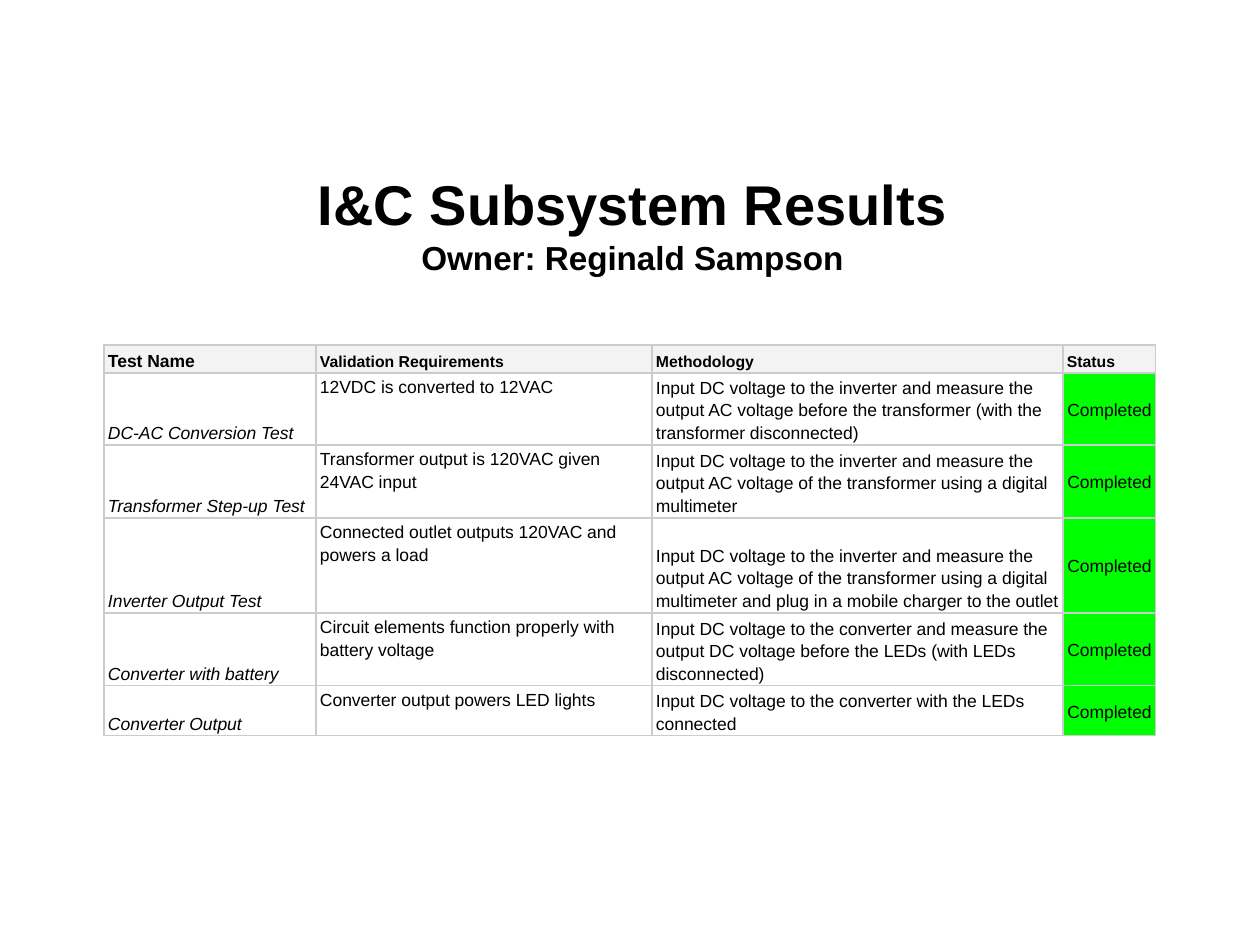
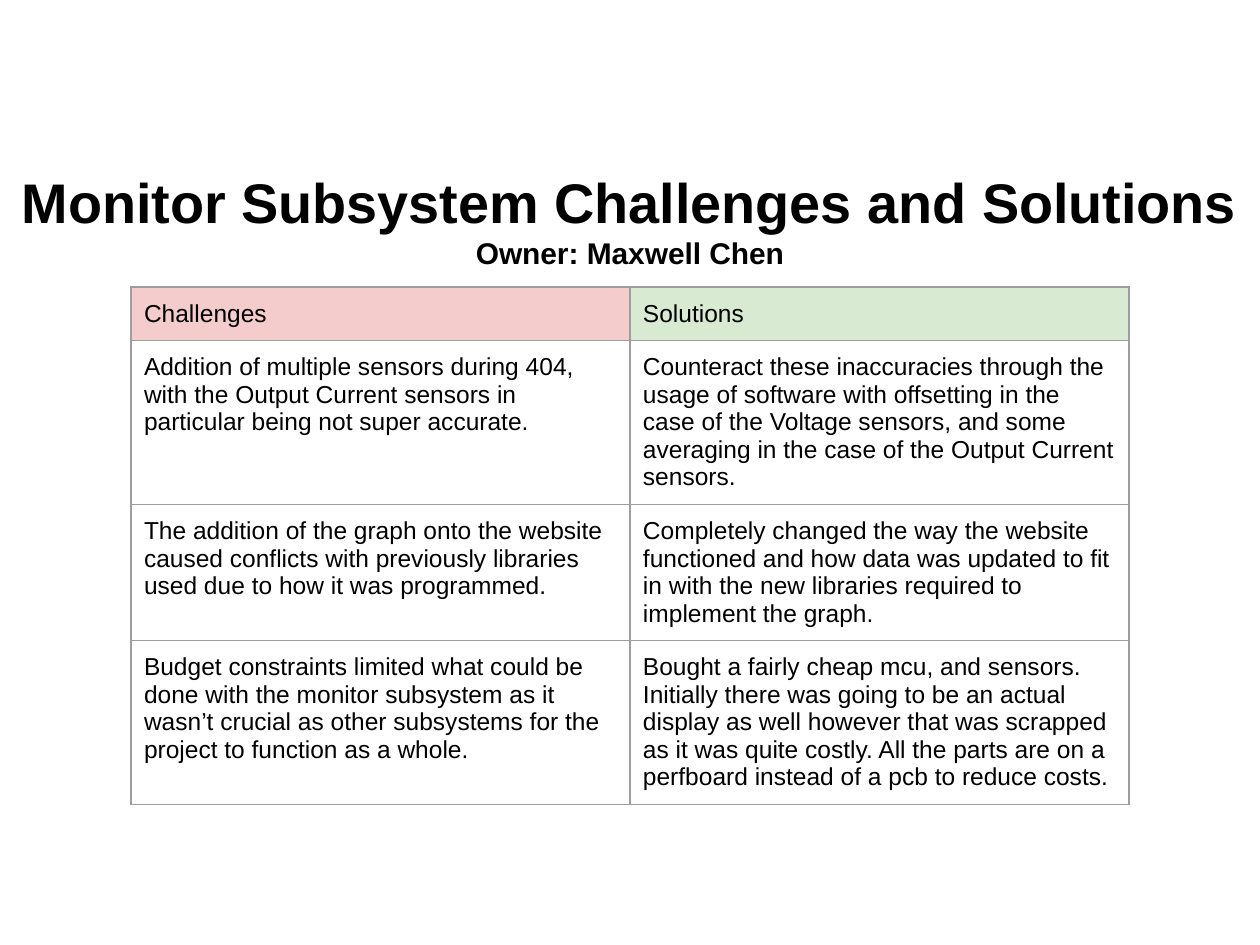
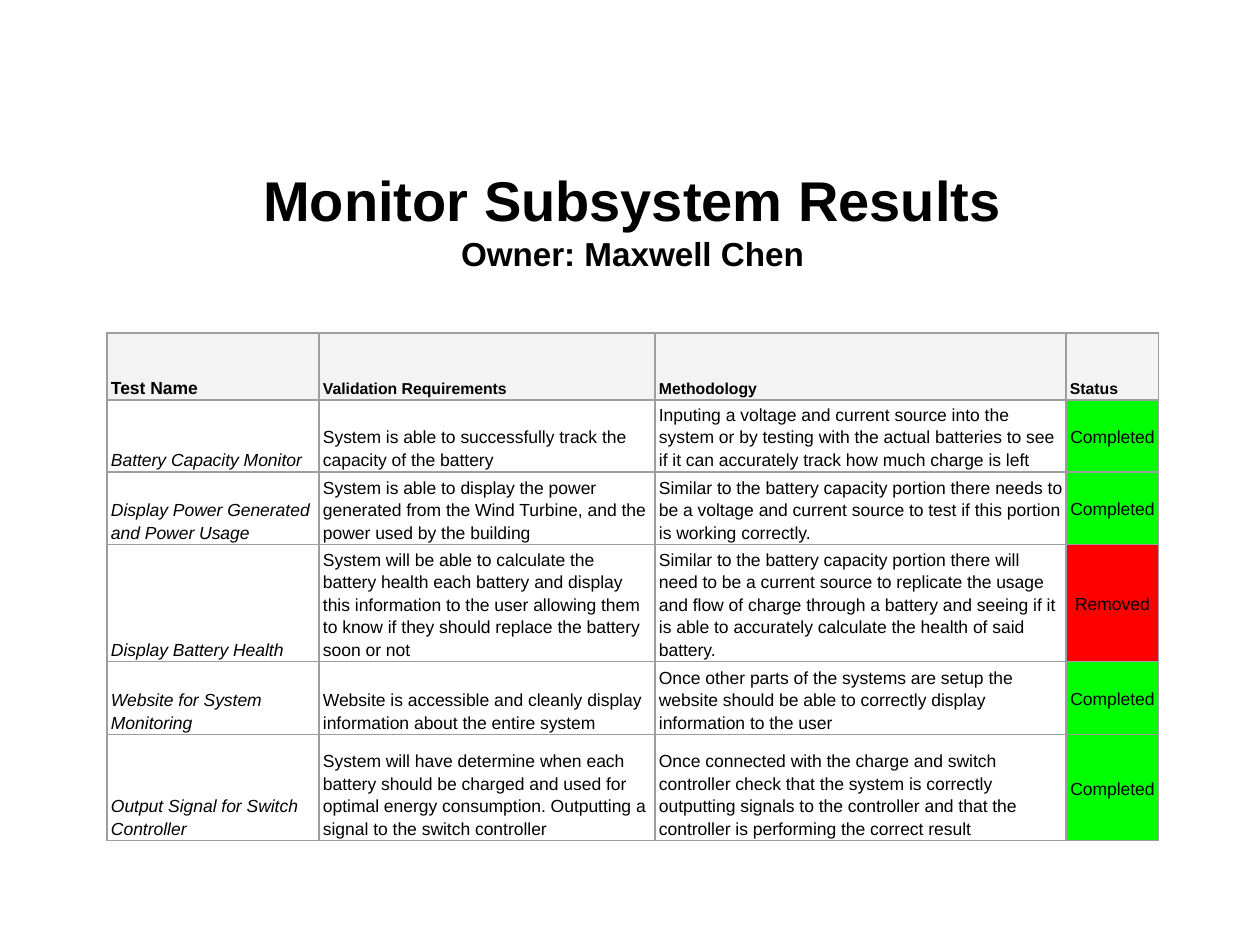
"""Build three slides of subsystem test results, challenges and solutions."""
import dataclasses

import lxml.etree
import pptx
import pptx.dml.color
import pptx.enum.text
import pptx.oxml.ns
import pptx.util

PIXELS_PER_INCH = 126
ANCHOR = pptx.enum.text.MSO_ANCHOR
ALIGN = pptx.enum.text.PP_ALIGN


@dataclasses.dataclass(frozen=True)
class Theme:
    font: str = "Arial"
    text: str = "000000"
    plain: str = "FFFFFF"
    header: str = "F3F3F3"
    challenge: str = "F4CCCC"
    solution: str = "D9EAD3"
    completed: str = "00FF00"
    removed: str = "FF0000"
    light_border: str = "CCCCCC"
    dark_border: str = "9E9E9E"
    border_width: float = 0.75
    title_size: float = 32
    owner_size: float = 19
    long_title_size: float = 31.9
    small_owner_size: float = 17.1
    comparison_size: float = 14
    result_size: float = 10
    header_size: float = 9


def px(length):
    return pptx.util.Emu(round(length * 914400 / PIXELS_PER_INCH))


def format_text(paragraph, size, paragraph_format=(), **font_format):
    for name, value in dict(paragraph_format).items():
        setattr(paragraph, name, value)
    values = {"name": theme.font, "size": pptx.util.Pt(size), **font_format}
    for name, value in values.items():
        setattr(paragraph.font, name, value)
    paragraph.font.color.rgb = pptx.dml.color.RGBColor.from_string(theme.text)


theme = Theme()
status_fills = {"Completed": theme.completed, "Removed": theme.removed}
result_columns = [212, 336, 411, 93]
result_header = ["Test Name", "Validation Requirements", "Methodology", "Status"]

slide_contents = [
    {
        "title": "I&C Subsystem Results",
        "owner": "Owner: Reginald Sampson",
        "title_box": (48, 149, 1169, 149),
        "title_sizes": (theme.title_size, theme.owner_size),
        "is_results": True,
        "requirement_anchor": ANCHOR.TOP,
        "border": theme.light_border,
        "table_corner": (104, 345),
        "columns": result_columns,
        "row_heights": [28, 72, 73, 95, 73, 50],
        "header_fills": [theme.header] * 4,
        "rows": [
            result_header,
            ["DC-AC Conversion Test", "12VDC is converted to 12VAC",
             "Input DC voltage to the inverter and measure the output AC voltage before "
             "the transformer (with the transformer disconnected)", "Completed"],
            ["Transformer Step-up Test", "Transformer output is 120VAC given 24VAC input",
             "Input DC voltage to the inverter and measure the output AC voltage of the "
             "transformer using a digital multimeter", "Completed"],
            ["Inverter Output Test", "Connected outlet outputs 120VAC and powers a load",
             "Input DC voltage to the inverter and measure the output AC voltage of the "
             "transformer using a digital multimeter and plug in a mobile charger to the "
             "outlet", "Completed"],
            ["Converter with battery",
             "Circuit elements function properly with battery voltage",
             "Input DC voltage to the converter and measure the output DC voltage before "
             "the LEDs (with LEDs disconnected)", "Completed"],
            ["Converter Output", "Converter output powers LED lights",
             "Input DC voltage to the converter with the LEDs connected", "Completed"],
        ],
    },
    {
        "title": "Monitor Subsystem Challenges and Solutions",
        "owner": "Owner: Maxwell Chen",
        "title_box": (0, 145, 1260, 149),
        "title_sizes": (theme.long_title_size, theme.small_owner_size),
        "is_results": False,
        "border": theme.dark_border,
        "table_corner": (131, 287),
        "columns": [499, 499],
        "row_heights": [53, 163, 135, 163],
        "header_fills": [theme.challenge, theme.solution],
        "rows": [
            ["Challenges", "Solutions"],
            ["Addition of multiple sensors during 404, with the Output Current sensors in "
             "particular being not super accurate.",
             "Counteract these inaccuracies through the usage of software with offsetting "
             "in the case of the Voltage sensors, and some averaging in the case of the "
             "Output Current sensors."],
            ["The addition of the graph onto the website caused conflicts with previously "
             "libraries used due to how it was programmed.",
             "Completely changed the way the website functioned and how data was updated "
             "to fit in with the new libraries required to implement the graph."],
            ["Budget constraints limited what could be done with the monitor subsystem as "
             "it wasn’t crucial as other subsystems for the project to function as a whole.",
             "Bought a fairly cheap mcu, and sensors. Initially there was going to be an "
             "actual display as well however that was scrapped as it was quite costly. All "
             "the parts are on a perfboard instead of a pcb to reduce costs."],
        ],
    },
    {
        "title": "Monitor Subsystem Results",
        "owner": "Owner: Maxwell Chen",
        "title_box": (48, 145, 1169, 149),
        "title_sizes": (theme.title_size, theme.owner_size),
        "is_results": True,
        "requirement_anchor": ANCHOR.BOTTOM,
        "border": theme.dark_border,
        "table_corner": (107, 333),
        "columns": result_columns,
        "row_heights": [67, 72, 73, 117, 73, 106],
        "header_fills": [theme.header] * 4,
        "rows": [
            result_header,
            ["Battery Capacity Monitor",
             "System is able to successfully track the capacity of the battery",
             "Inputing a voltage and current source into the system or by testing with the "
             "actual batteries to see if it can accurately track how much charge is left",
             "Completed"],
            ["Display Power Generated and Power Usage",
             "System is able to display the power generated from the Wind Turbine, and the "
             "power used by the building",
             "Similar to the battery capacity portion there needs to be a voltage and "
             "current source to test if this portion is working correctly.", "Completed"],
            ["Display Battery Health",
             "System will be able to calculate the battery health each battery and display "
             "this information to the user allowing them to know if they should replace "
             "the battery soon or not",
             "Similar to the battery capacity portion there will need to be a current "
             "source to replicate the usage and flow of charge through a battery and "
             "seeing if it is able to accurately calculate the health of said battery.",
             "Removed"],
            ["Website for System Monitoring",
             "Website is accessible and cleanly display\n"
             "information about the entire system",
             "Once other parts of the systems are setup the website should be able to "
             "correctly display information to the user", "Completed"],
            ["Output Signal for Switch Controller",
             "System will have determine when each battery should be charged and used for "
             "optimal energy consumption. Outputting a signal to the switch controller",
             "Once connected with the charge and switch controller check that the system "
             "is correctly outputting signals to the controller and that the controller "
             "is performing the correct result", "Completed"],
        ],
    },
]

presentation = pptx.Presentation()
presentation.slide_width = px(1260)
presentation.slide_height = px(945)
title_only_layout = presentation.slide_layouts[5]

for content in slide_contents:
    slide = presentation.slides.add_slide(title_only_layout)

    title = slide.shapes.title
    for name, length in zip(("left", "top", "width", "height"), content["title_box"]):
        setattr(title, name, px(length))
    title.text_frame.text = f"{content['title']}\n{content['owner']}"
    title.text_frame.auto_size = pptx.enum.text.MSO_AUTO_SIZE.NONE
    title.text_frame.vertical_anchor = ANCHOR.MIDDLE
    for paragraph, size in zip(title.text_frame.paragraphs, content["title_sizes"]):
        format_text(paragraph, size, {"alignment": ALIGN.CENTER}, bold=True)

    rows, columns, heights = content["rows"], content["columns"], content["row_heights"]
    left, top = content["table_corner"]
    table = slide.shapes.add_table(
        len(rows), len(columns), px(left), px(top), px(sum(columns)), px(sum(heights))
    ).table
    table.first_row = table.horz_banding = False
    for column, width in zip(table.columns, columns):
        column.width = px(width)
    for row, height in zip(table.rows, heights):
        row.height = px(height)

    is_results = content["is_results"]
    margin_x, margin_y = (4, 2) if is_results else (13, 13)
    for row_index, row_texts in enumerate(rows):
        for column_index, text in enumerate(row_texts):
            cell = table.cell(row_index, column_index)
            is_header = row_index == 0
            is_status = text in status_fills
            fill = status_fills.get(text, theme.plain)
            anchor = ANCHOR.BOTTOM if is_results else ANCHOR.TOP
            size = theme.result_size if is_results else theme.comparison_size
            if is_header:
                fill = content["header_fills"][column_index]
                if is_results and column_index > 0:
                    size = theme.header_size
            elif is_status:
                anchor = ANCHOR.MIDDLE
            elif is_results and column_index == 1:
                anchor = content["requirement_anchor"]

            cell_format = {
                "text": text,
                "vertical_anchor": anchor,
                "margin_left": px(margin_x),
                "margin_right": px(margin_x),
                "margin_top": px(margin_y),
                "margin_bottom": px(margin_y),
            }
            for name, value in cell_format.items():
                setattr(cell, name, value)

            paragraph_format = {
                "alignment": ALIGN.CENTER if is_status else ALIGN.LEFT,
                "line_spacing": 1.15 if is_results else 1.0,
            }
            for paragraph in cell.text_frame.paragraphs:
                format_text(
                    paragraph, size, paragraph_format,
                    bold=is_results and is_header,
                    italic=is_results and not is_header and column_index == 0,
                )

            cell_properties = cell._tc.get_or_add_tcPr()
            for side in ("a:lnL", "a:lnR", "a:lnT", "a:lnB"):
                border = lxml.etree.SubElement(
                    cell_properties, pptx.oxml.ns.qn(side),
                    w=str(pptx.util.Pt(theme.border_width)),
                )
                border_fill = lxml.etree.SubElement(border, pptx.oxml.ns.qn("a:solidFill"))
                lxml.etree.SubElement(
                    border_fill, pptx.oxml.ns.qn("a:srgbClr"), val=content["border"]
                )
            cell.fill.solid()
            cell.fill.fore_color.rgb = pptx.dml.color.RGBColor.from_string(fill)

presentation.save("out.pptx")
